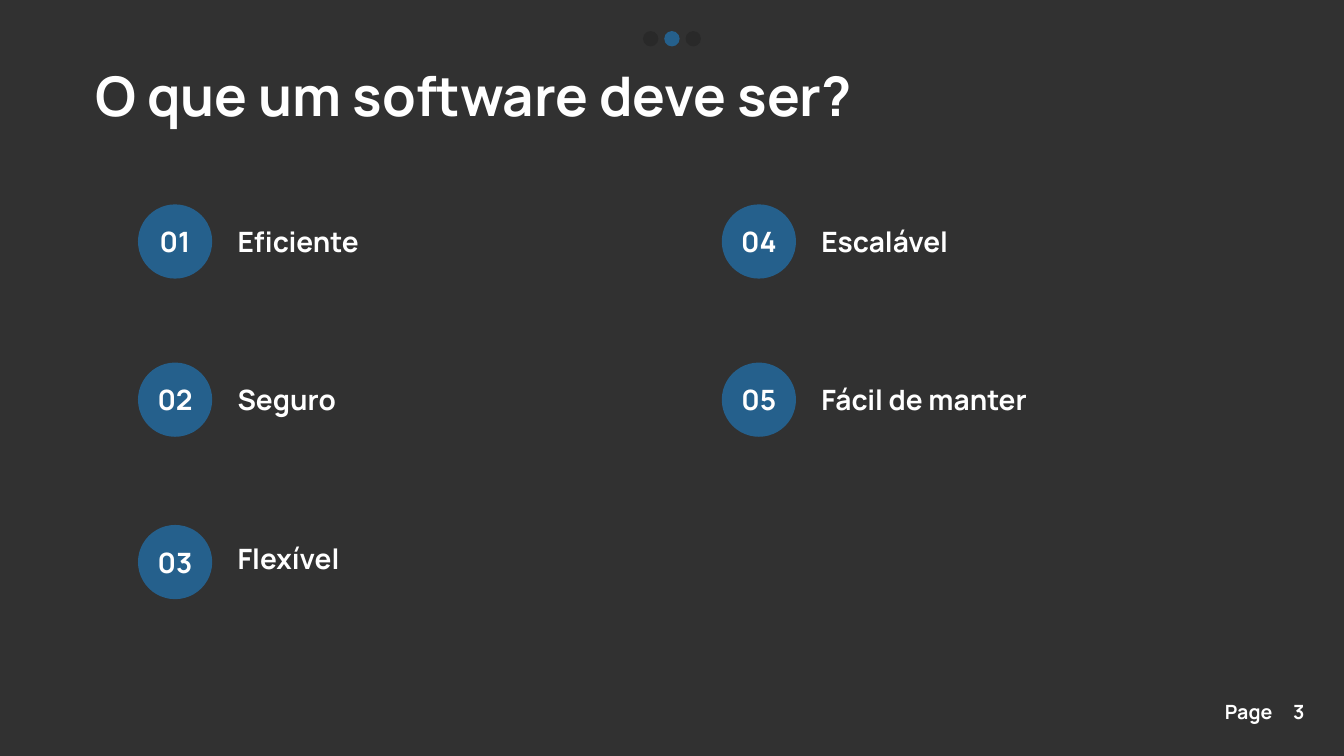
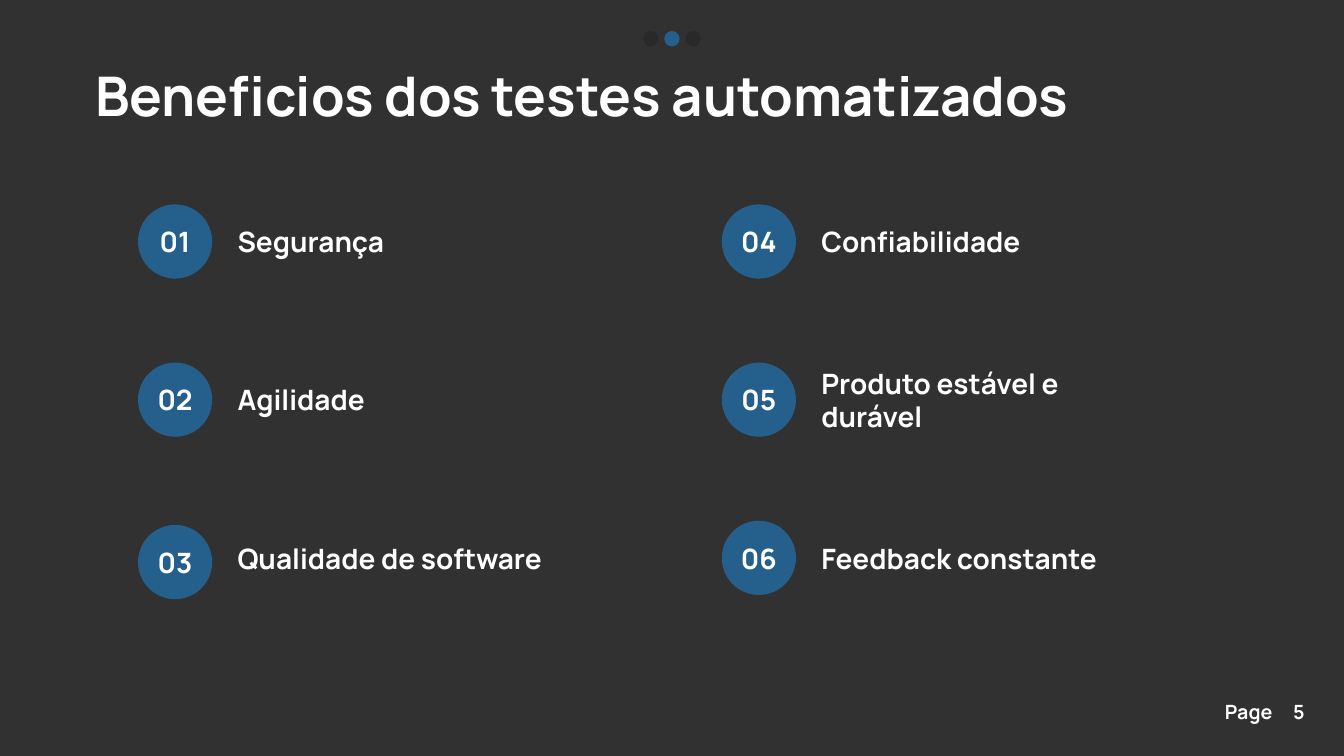
from dataclasses import dataclass

from pptx import Presentation
from pptx.dml.color import RGBColor
from pptx.enum import shapes, text
from pptx.util import Pt

BACKGROUND = RGBColor(0x31, 0x31, 0x31)
DARK = RGBColor(0x29, 0x29, 0x29)
BLUE = RGBColor(0x25, 0x60, 0x8C)
WHITE = RGBColor(0xFF, 0xFF, 0xFF)
FONT = "Manrope"

SLIDE_W, SLIDE_H = 960, 540
ROWS = 3
FIRST_LEFT, COLUMN_PITCH = 98.6, 417
FIRST_MIDDLE, ROW_PITCH = 172.5, 113
BADGE = 53
LABEL_OFFSET, LABEL_W, LABEL_H = 64, 247, 32
DOT, DOT_PITCH, DOT_TOP = 11, 15.2, 22.2

LEFT, CENTER, RIGHT = text.PP_ALIGN.LEFT, text.PP_ALIGN.CENTER, text.PP_ALIGN.RIGHT


@dataclass(frozen=True)
class Item:
    label: str
    badge_drop: float = 0


@dataclass(frozen=True)
class Topic:
    page: int
    title: str
    items: tuple[Item, ...]


TOPICS = (
    Topic(3, "O que um software deve ser?", (
        Item("Eficiente"),
        Item("Seguro"),
        Item("Flexível", badge_drop=3),
        Item("Escalável"),
        Item("Fácil de manter"),
    )),
    Topic(5, "Beneficios dos testes automatizados", (
        Item("Segurança"),
        Item("Agilidade"),
        Item("Qualidade de software", badge_drop=3),
        Item("Confiabilidade"),
        Item("Produto estável e durável"),
        Item("Feedback constante"),
    )),
)


def write(shape, words: str, size: float, align, line_spacing: float = 1.0) -> None:
    """Put one bold white paragraph, vertically centred, into a shape."""
    frame = shape.text_frame
    frame.word_wrap = True
    frame.vertical_anchor = text.MSO_ANCHOR.MIDDLE
    paragraph = frame.paragraphs[0]
    paragraph.text = words
    paragraph.alignment = align
    paragraph.line_spacing = line_spacing
    font = paragraph.font
    font.name, font.size, font.bold = FONT, Pt(size), True
    font.color.rgb = WHITE


def add_text(slide, words: str, left: float, top: float, width: float, height: float,
             size: float, align=LEFT, line_spacing: float = 1.0) -> None:
    box = slide.shapes.add_textbox(Pt(left), Pt(top), Pt(width), Pt(height))
    write(box, words, size, align, line_spacing)


def add_circle(slide, left: float, top: float, diameter: float, color: RGBColor):
    circle = slide.shapes.add_shape(
        shapes.MSO_SHAPE.OVAL, Pt(left), Pt(top), Pt(diameter), Pt(diameter))
    circle.shadow.inherit = False
    circle.fill.solid()
    circle.fill.fore_color.rgb = color
    circle.line.fill.background()
    return circle


def add_frame(slide, topic: Topic) -> None:
    """Draw the dots, title and page number that every slide carries."""
    for step, color in zip((-1, 0, 1), (DARK, BLUE, DARK)):
        add_circle(slide, (SLIDE_W - DOT) / 2 + step * DOT_PITCH, DOT_TOP, DOT, color)
    add_text(slide, topic.title, 61, 34, 838, 73, 39, line_spacing=0.9)
    add_text(slide, "Page", 783, 496, 133, 25, 14, RIGHT)
    add_text(slide, str(topic.page), 723, 494, 216, 29, 14, RIGHT)


def add_item(slide, index: int, item: Item) -> None:
    column, row = divmod(index, ROWS)
    left = FIRST_LEFT + column * COLUMN_PITCH
    middle = FIRST_MIDDLE + row * ROW_PITCH
    badge = add_circle(slide, left, middle - BADGE / 2 + item.badge_drop, BADGE, BLUE)
    badge.text_frame.margin_left = badge.text_frame.margin_right = 0
    write(badge, f"{index + 1:02}", 20, CENTER)
    add_text(slide, item.label, left + LABEL_OFFSET, middle - LABEL_H / 2,
             LABEL_W, LABEL_H, 20)


def main() -> None:
    deck = Presentation()
    deck.slide_width, deck.slide_height = Pt(SLIDE_W), Pt(SLIDE_H)
    backdrop = deck.slide_master.background.fill
    backdrop.solid()
    backdrop.fore_color.rgb = BACKGROUND
    for topic in TOPICS:
        slide = deck.slides.add_slide(deck.slide_layouts[6])
        add_frame(slide, topic)
        for index, item in enumerate(topic.items):
            add_item(slide, index, item)
    deck.save("out.pptx")


if __name__ == "__main__":
    main()
